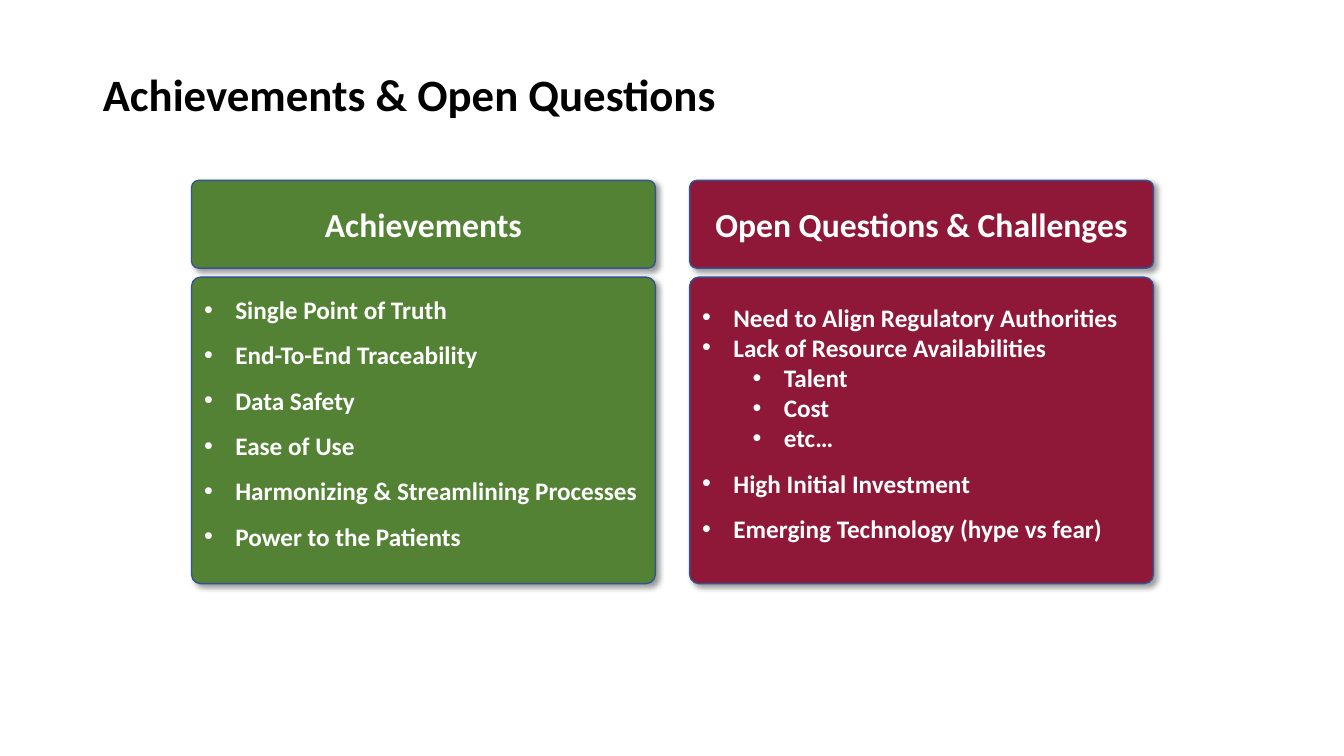
from dataclasses import dataclass

from lxml import etree
from pptx import Presentation
from pptx.dml.color import RGBColor
from pptx.enum import shapes, text
from pptx.oxml import ns
from pptx.util import Inches, Pt


@dataclass(frozen=True)
class Theme:
    font: str = "Calibri"
    ink: str = "000000"
    light: str = "FFFFFF"
    outline: str = "325491"
    green: str = "548235"
    crimson: str = "8F1838"
    title_size: int = 32
    heading_size: int = 24
    body_size: int = 18


THEME = Theme()


def add_text(paragraph, wording, size, color):
    run = paragraph.add_run()
    run.text = wording
    run.font.name = THEME.font
    run.font.size = Pt(size)
    run.font.bold = True
    run.font.color.rgb = RGBColor.from_string(color)


def add_card(left, top, height, corner, color):
    card = slide.shapes.add_shape(
        shapes.MSO_SHAPE.ROUNDED_RECTANGLE,
        Inches(left), Inches(top), Inches(4.6), Inches(height))
    card.adjustments[0] = corner / height
    card.fill.solid()
    card.fill.fore_color.rgb = RGBColor.from_string(color)
    card.line.color.rgb = RGBColor.from_string(THEME.outline)
    card.line.width = Pt(1)
    card.shadow.inherit = False
    effects = card._element.spPr.find(ns.qn("a:effectLst"))
    shadow = etree.SubElement(
        effects, ns.qn("a:outerShdw"), blurRad=str(Pt(4)), dist=str(Pt(3)),
        dir="2700000", algn="tl", rotWithShape="0")
    tint = etree.SubElement(shadow, ns.qn("a:srgbClr"), val=THEME.ink)
    etree.SubElement(tint, ns.qn("a:alpha"), val="40000")
    card.text_frame.word_wrap = True
    card.text_frame.vertical_anchor = text.MSO_ANCHOR.MIDDLE
    return card.text_frame


columns = [
    (1.9, THEME.green, "Achievements", [
        ("Single Point of Truth", 0, 1.5),
        ("End-To-End Traceability", 0, 1.5),
        ("Data Safety", 0, 1.5),
        ("Ease of Use", 0, 1.5),
        ("Harmonizing & Streamlining Processes", 0, 1.5),
        ("Power to the Patients", 0, 1.5),
    ]),
    (6.84, THEME.crimson, "Open Questions & Challenges", [
        ("Need to Align Regulatory Authorities", 0, 1.5),
        ("Lack of Resource Availabilities", 0, 1),
        ("Talent", 1, 1),
        ("Cost", 1, 1),
        ("etc…", 1, 1),
        ("High Initial Investment", 0, 1.5),
        ("Emerging Technology (hype vs fear)", 0, 1.5),
    ]),
]

deck = Presentation()
deck.slide_width = Inches(13.33)
deck.slide_height = Inches(7.5)
slide = deck.slides.add_slide(deck.slide_layouts[5])

title = slide.shapes.title
title.left, title.top = Inches(0.92), Inches(0.24)
title.width, title.height = Inches(11.5), Inches(1.45)
title.text_frame.auto_size = text.MSO_AUTO_SIZE.NONE
title.text_frame.vertical_anchor = text.MSO_ANCHOR.MIDDLE
headline = title.text_frame.paragraphs[0]
headline.alignment = text.PP_ALIGN.LEFT
headline.line_spacing = 0.9
add_text(headline, "Achievements & Open Questions", THEME.title_size, THEME.ink)

for left, color, heading, points in columns:
    body = add_card(left, 2.75, 3.04, 0.09, color)
    body.margin_bottom = Inches(0.35)
    for index, (wording, level, spacing) in enumerate(points):
        point = body.add_paragraph() if index else body.paragraphs[0]
        point.level = level
        point.alignment = text.PP_ALIGN.LEFT
        properties = point._p.get_or_add_pPr()
        properties.set("marL", str(Inches(0.31 + 0.5 * level)))
        properties.set("indent", str(Inches(-0.31)))
        etree.SubElement(properties, ns.qn("a:buFont"), typeface="Arial")
        etree.SubElement(properties, ns.qn("a:buChar"), char="•")
        point.line_spacing = float(spacing)
        add_text(point, wording, THEME.body_size, THEME.light)

    header = add_card(left, 1.79, 0.87, 0.07, color).paragraphs[0]
    header.alignment = text.PP_ALIGN.CENTER
    add_text(header, heading, THEME.heading_size, THEME.light)

deck.save("out.pptx")
